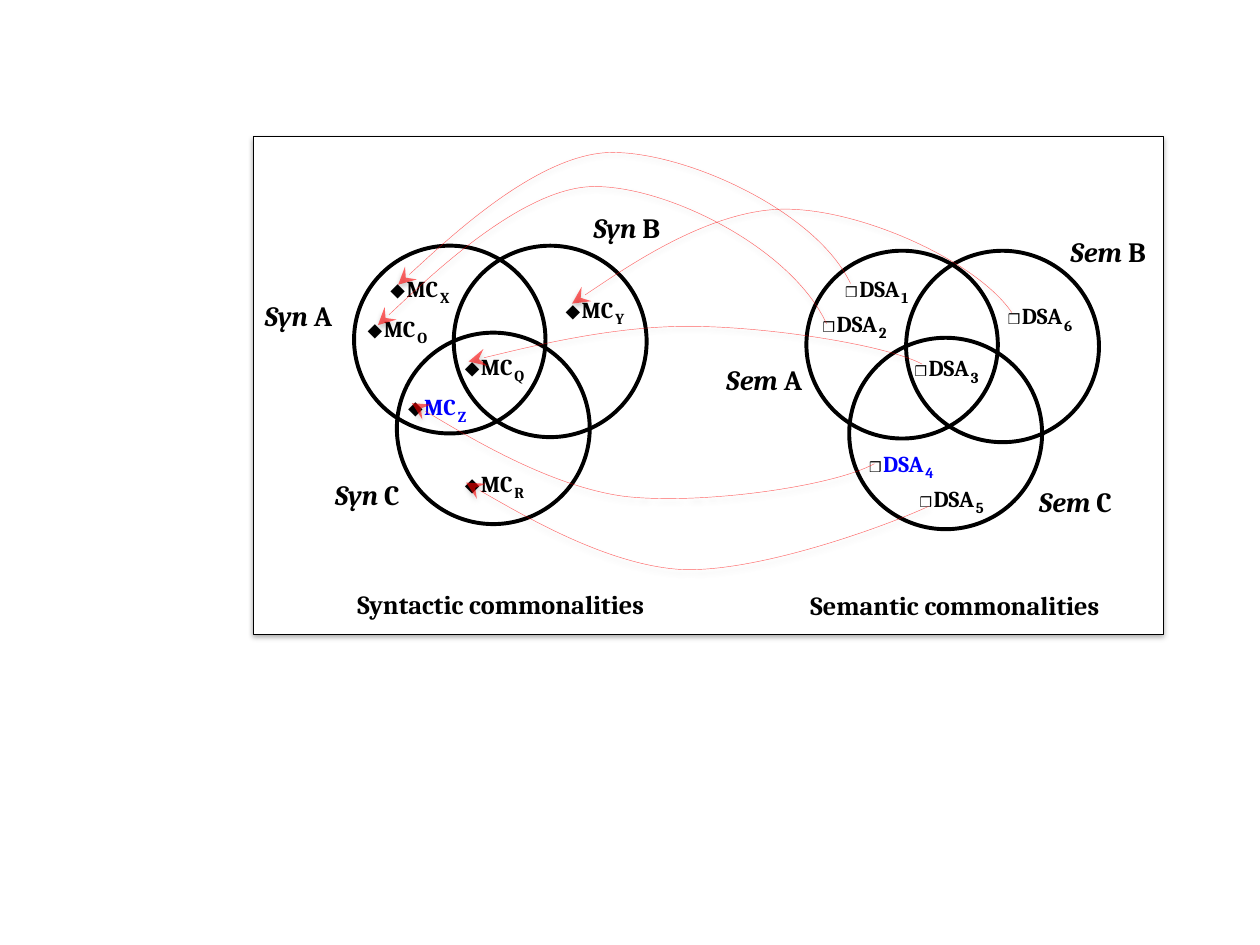
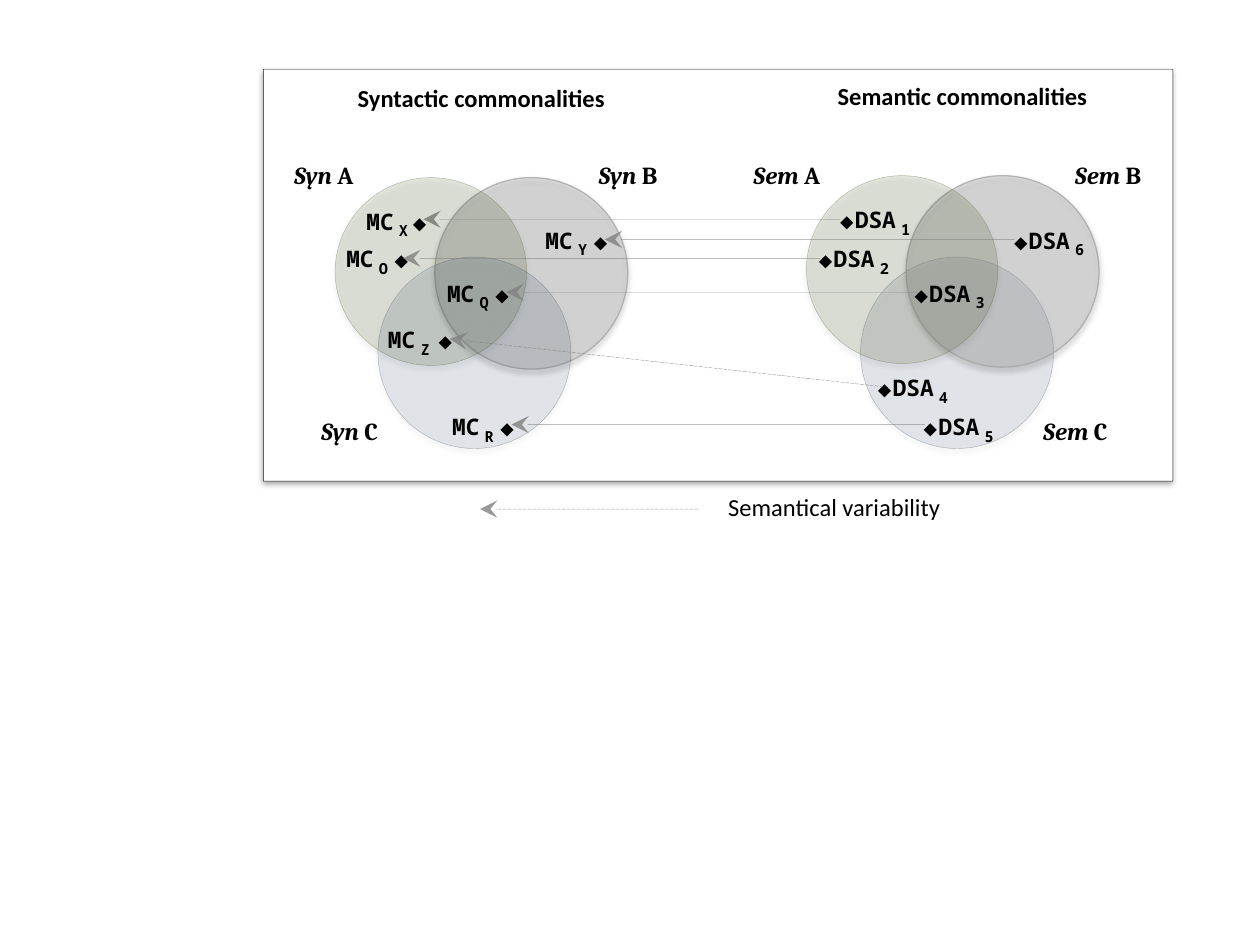
"""Build two Venn slides that map semantic commonalities to syntactic ones."""
from dataclasses import dataclass
from typing import Any, NamedTuple, Optional

from lxml import etree
from pptx import Presentation
from pptx.dml.color import RGBColor
from pptx.enum import dml, shapes, text
from pptx.oxml.ns import qn
from pptx.util import Pt


@dataclass(frozen=True)
class Theme:
    """Colours, fonts and type sizes of both slides."""
    black: str = "000000"
    white: str = "FFFFFF"
    blue: str = "0000FF"
    red: str = "FF0000"
    grey: str = "808080"
    serif: str = "Cambria"
    sans: str = "Calibri"
    mono: str = "Noto Sans Mono"
    symbol: str = "Arial"
    tag: float = 13
    sub: float = 15
    thin_gap: float = 3
    sub_gap: float = 5
    hairline: float = 0.25


T = Theme()
DIAMOND, BOX = "⬥", "❒"


class Box(NamedTuple):
    """Left, top, width and height in points."""
    x: float
    y: float
    w: float
    h: float


class Ink(NamedTuple):
    """A colour with its opacity and, for a line, its width."""
    color: str
    opacity: int = 100
    width: float = T.hairline


class Run(NamedTuple):
    """A piece of text with its font."""
    words: str
    size: float
    font: str
    bold: bool = True
    italic: bool = False
    color: str = T.black
    sub: bool = False


class Tag(NamedTuple):
    """A marked element such as MC X or DSA 1."""
    name: str
    index: str
    x: float
    y: float
    color: str = T.black
    gap: float = 11


class Style(NamedTuple):
    """How a slide writes its tags."""
    font: str
    mark_sizes: dict[str, float]
    marks: dict[str, str]
    mark_last: tuple[str, ...] = ()


class Label(NamedTuple):
    """The name of a set, at its left and top."""
    kind: str
    letter: str
    x: float
    y: float


class Venn(NamedTuple):
    """Three circles: the place of A, the offset of C and the drawing order."""
    x: float
    y: float
    c_dx: float
    c_dy: float
    order: str = "BAC"


class Circle(NamedTuple):
    """Fill and outline of a circle."""
    fill: Optional[Ink]
    line: Ink


class Arrow(NamedTuple):
    """A straight arrow."""
    x1: float
    y1: float
    x2: float
    y2: float
    dash: Optional[dml.MSO_LINE] = None


def apply(obj: Any, values: dict[str, Any]) -> None:
    """Set each named attribute of an object."""
    for name, value in values.items():
        setattr(obj, name, value)


def set_alpha(fill: Any, opacity: int) -> None:
    """Make the solid colour under an element translucent."""
    if opacity < 100:
        clr = fill.find(qn("a:solidFill")).find(qn("a:srgbClr"))
        etree.SubElement(clr, qn("a:alpha"), val=str(opacity * 1000))


def set_fill(s: Any, ink: Optional[Ink]) -> None:
    """Fill a shape, or leave it hollow."""
    if ink is None:
        s.fill.background()
        return
    s.fill.solid()
    s.fill.fore_color.rgb = RGBColor.from_string(ink.color)
    set_alpha(s._element.spPr, ink.opacity)


def set_line(s: Any, ink: Ink, dash: Optional[dml.MSO_LINE] = None, head: bool = False) -> None:
    """Format an outline, with a stealth head if asked."""
    s.line.color.rgb = RGBColor.from_string(ink.color)
    apply(s.line, {"width": Pt(ink.width), "dash_style": dash})
    ln = s._element.spPr.find(qn("a:ln"))
    set_alpha(ln, ink.opacity)
    if head:
        etree.SubElement(ln, qn("a:tailEnd"), type="stealth", w="lg", len="lg")


def add_shadow(s: Any, opacity: int = 35, dist: float = 1.8) -> None:
    """Give a shape a soft shadow below it."""
    s.shadow.inherit = False
    effects = s._element.spPr.find(qn("a:effectLst"))
    shadow = etree.SubElement(effects, qn("a:outerShdw"), blurRad=str(Pt(3.1)), dist=str(Pt(dist)),
                              dir="5400000", algn="t", rotWithShape="0")
    clr = etree.SubElement(shadow, qn("a:srgbClr"), val=T.black)
    etree.SubElement(clr, qn("a:alpha"), val=str(opacity * 1000))


def add_preset(slide: Any, kind: shapes.MSO_SHAPE, box: Box, fill: Optional[Ink], line: Ink,
               shadow: bool) -> None:
    """Draw a preset shape."""
    s = slide.shapes.add_shape(kind, *map(Pt, box))
    set_fill(s, fill)
    set_line(s, line)
    s.shadow.inherit = False
    if shadow:
        add_shadow(s)


def add_panel(slide: Any, box: Box, line: Ink) -> None:
    """Draw the white panel behind a diagram."""
    add_preset(slide, shapes.MSO_SHAPE.RECTANGLE, box, Ink(T.white), line, True)


def add_text(slide: Any, box: Box, runs: list[Run], centred: bool = True) -> None:
    """Write one paragraph of formatted runs."""
    tf = slide.shapes.add_textbox(*map(Pt, box)).text_frame
    apply(tf, {"word_wrap": True, "auto_size": text.MSO_AUTO_SIZE.SHAPE_TO_FIT_TEXT})
    p = tf.paragraphs[0]
    p.alignment = text.PP_ALIGN.CENTER if centred else text.PP_ALIGN.LEFT
    for run in runs:
        r = p.add_run()
        r.text = run.words
        apply(r.font, {"name": run.font, "size": Pt(run.size), "bold": run.bold, "italic": run.italic})
        r.font.color.rgb = RGBColor.from_string(run.color)
        if run.sub:
            r._r.get_or_add_rPr().set("baseline", "-25000")


def add_tag(slide: Any, tag: Tag, style: Style) -> None:
    """Write a mark and a name with its subscript."""
    mark = Run(style.marks[tag.name], style.mark_sizes[tag.name], T.symbol, False)
    name = [Run(tag.name, T.tag, style.font, color=tag.color),
            Run(" ", T.sub_gap, style.font, color=tag.color),
            Run(tag.index, T.sub, style.font, color=tag.color, sub=True)]
    if tag.name in style.mark_last:
        runs = name + [Run(" ", tag.gap, style.font, sub=True), mark]
    else:
        runs = [mark, Run(" ", T.thin_gap, T.symbol, False)] + name
    add_text(slide, Box(tag.x, tag.y, 60, 23), runs, False)


def add_label(slide: Any, label: Label, size: float) -> None:
    """Name a set, its kind in italics."""
    runs = [Run(label.kind, size, T.serif, italic=True), Run(f" {label.letter}", size, T.serif)]
    add_text(slide, Box(label.x, label.y, 62.6, size * 1.7), runs)


def add_venn(slide: Any, venn: Venn, looks: dict[str, Circle], shadow: bool) -> None:
    """Draw three overlapping circles."""
    x, y = venn.x, venn.y
    boxes = {"A": Box(x, y, 109.4, 107.3), "B": Box(x + 57, y, 110.2, 109.4),
             "C": Box(x + venn.c_dx, y + venn.c_dy, 110.2, 109.4)}
    for letter in venn.order:
        add_preset(slide, shapes.MSO_SHAPE.OVAL, boxes[letter], *looks[letter], shadow)


def add_curve(slide: Any, points: list[tuple[float, float]]) -> None:
    """Draw an arrow of two Bézier arcs through start, middle and end."""
    pts = [(Pt(x), Pt(y)) for x, y in points]
    start, c1, c2, middle, c3, end = pts
    fb = slide.shapes.build_freeform(*start)
    fb.add_line_segments([middle, end], close=False)
    s = fb.convert_to_shape()
    left, top = min(x for x, _ in (start, middle, end)), min(y for _, y in (start, middle, end))
    for seg, controls in zip(s._element.xpath(".//a:lnTo"), ((c1, c2), (c3, end))):
        seg.tag = qn("a:cubicBezTo")
        for i, (x, y) in enumerate(controls):
            seg.insert(i, etree.Element(qn("a:pt"), x=str(x - left), y=str(y - top)))
    set_fill(s, None)
    set_line(s, Ink(T.red, 60), head=True)
    add_shadow(s, 38, 1.6)


def add_arrow(slide: Any, a: Arrow) -> None:
    """Draw a straight grey arrow."""
    s = slide.shapes.add_connector(shapes.MSO_CONNECTOR.STRAIGHT, *map(Pt, a[:4]))
    set_line(s, Ink(T.grey, 80), a.dash, True)
    etree.SubElement(s._element.spPr, qn("a:effectLst"))


def curved_slide(slide: Any) -> None:
    """Map the sets with curved red arrows."""
    style = Style(T.serif, {"MC": 12, "DSA": 8}, {"MC": DIAMOND, "DSA": BOX})
    outline = Circle(None, Ink(T.black, width=2.25))
    add_panel(slide, Box(144.7, 77.8, 519.8, 284.4), Ink(T.black))
    for venn in (Venn(202.3, 140.4, 24.5, 49.7), Venn(460.8, 143.3, 24.5, 49.7)):
        add_venn(slide, venn, dict.fromkeys("ABC", outline), False)
    for tag in (Tag("MC", "X", 216, 151.2), Tag("MC", "O", 203, 174.2), Tag("MC", "Y", 316.1, 163.4),
                Tag("MC", "Q", 258.5, 195.8), Tag("MC", "Z", 226.1, 218.9, T.blue),
                Tag("MC", "R", 258.5, 262.8), Tag("DSA", "1", 475.9, 151.2),
                Tag("DSA", "2", 463, 171.4), Tag("DSA", "3", 515.5, 196.6),
                Tag("DSA", "4", 489.6, 251.3, T.blue), Tag("DSA", "5", 518.4, 271.4),
                Tag("DSA", "6", 568.8, 167)):
        add_tag(slide, tag, style)
    for points in (
            [(486, 162), (466.6, 121), (393.1, 87.1), (349.9, 87.1), (306.7, 87.1), (227.5, 162.7)],
            [(472.3, 185), (452.9, 142.6), (383, 106.6), (339.8, 106.6), (297.4, 106.6), (216, 185.8)],
            [(527, 208.1), (506.9, 197.3), (439.2, 186.5), (393.1, 186.5), (347, 186.5), (267.8, 206.6)],
            [(578.2, 178.6), (558.7, 149.8), (493.2, 119.5), (448.6, 119.5), (403.9, 119.5), (326.9, 173.5)],
            [(499.7, 265), (476.6, 277.9), (401, 288.7), (357.1, 283.7), (312.5, 277.9), (235.4, 230.4)],
            [(530.6, 289.4), (507.6, 300.2), (432.7, 327.6), (388.8, 325.4), (344.9, 322.6), (266.4, 275.8)]):
        add_curve(slide, points)
    add_text(slide, Box(180.7, 332.6, 211, 25), [Run("Syntactic commonalities", 15, T.serif)])
    add_text(slide, Box(445.7, 333.4, 200, 25), [Run("Semantic commonalities", 15, T.serif)])
    for label in (Label("Syn", "A", 139.3, 167), Label("Syn", "B", 326.9, 116.6),
                  Label("Syn", "C", 178.6, 269.3), Label("Sem", "A", 405.4, 203.8),
                  Label("Sem", "B", 601.9, 130.3), Label("Sem", "C", 583.2, 273.6)):
        add_label(slide, label, 16)


def straight_slide(slide: Any) -> None:
    """Map the tinted sets with straight grey arrows and a key."""
    style = Style(T.mono, {"MC": 11, "DSA": 11}, {"MC": DIAMOND, "DSA": DIAMOND}, ("MC",))
    looks = {"A": Circle(Ink("4F6228", 15), Ink("4F6228", 40)),
             "B": Circle(Ink("A6A6A6", 30), Ink("A6A6A6", 80, 0.75)),
             "C": Circle(Ink("17375E", 10), Ink("0F243E", 30))}
    dash = dml.MSO_LINE.LONG_DASH
    add_panel(slide, Box(150.5, 39.6, 519.8, 235.4), Ink(T.black, 90))
    add_arrow(slide, Arrow(480.2, 125.3, 241.9, 125.3))
    add_venn(slide, Venn(460.8, 100.4, 31, 46.5, "CBA"), looks, True)
    add_venn(slide, Venn(191.5, 101.5, 24.5, 45.4), looks, True)
    add_text(slide, Box(191.5, 43.9, 167, 24.5), [Run("Syntactic commonalities", 14, T.sans)])
    add_text(slide, Box(450, 42.5, 200, 24.5), [Run("Semantic commonalities", 14, T.sans)])
    for tag in (Tag("MC", "X", 202.3, 113, gap=8), Tag("MC", "O", 190.8, 134.6),
                Tag("MC", "Y", 304.6, 123.8), Tag("MC", "Q", 248.4, 154.1),
                Tag("MC", "Z", 214.6, 180.7, gap=15), Tag("MC", "R", 251.3, 230.4),
                Tag("DSA", "1", 473, 112.3), Tag("DSA", "2", 460.8, 134.6),
                Tag("DSA", "3", 515.5, 154.1), Tag("DSA", "4", 494.6, 208.1),
                Tag("DSA", "5", 520.7, 230.4), Tag("DSA", "6", 572.4, 123.8)):
        add_tag(slide, tag, style)
    for label in (Label("Syn", "A", 153.7, 87.8), Label("Syn", "B", 327.6, 87.8),
                  Label("Syn", "C", 168.5, 234), Label("Sem", "A", 418.3, 87.8),
                  Label("Sem", "B", 601.9, 87.8), Label("Sem", "C", 583.2, 234)):
        add_label(slide, label, 14)
    for arrow in (Arrow(468.7, 147.6, 230.4, 147.6), Arrow(579.6, 136.8, 345.6, 136.8),
                  Arrow(525.6, 167, 289.4, 167), Arrow(528.5, 242.6, 292.3, 242.6),
                  Arrow(504.7, 221, 257, 193.7, dash), Arrow(398.9, 290.9, 274.3, 290.9, dash)):
        add_arrow(slide, arrow)
    add_text(slide, Box(409, 277.9, 167, 24.5), [Run("Semantical variability", 14, T.sans, False)], False)


def main() -> None:
    """Build and save the deck."""
    prs = Presentation()
    apply(prs, {"slide_width": Pt(720), "slide_height": Pt(540)})
    for draw in (curved_slide, straight_slide):
        draw(prs.slides.add_slide(prs.slide_layouts[6]))
    prs.save("out.pptx")


if __name__ == "__main__":
    main()
